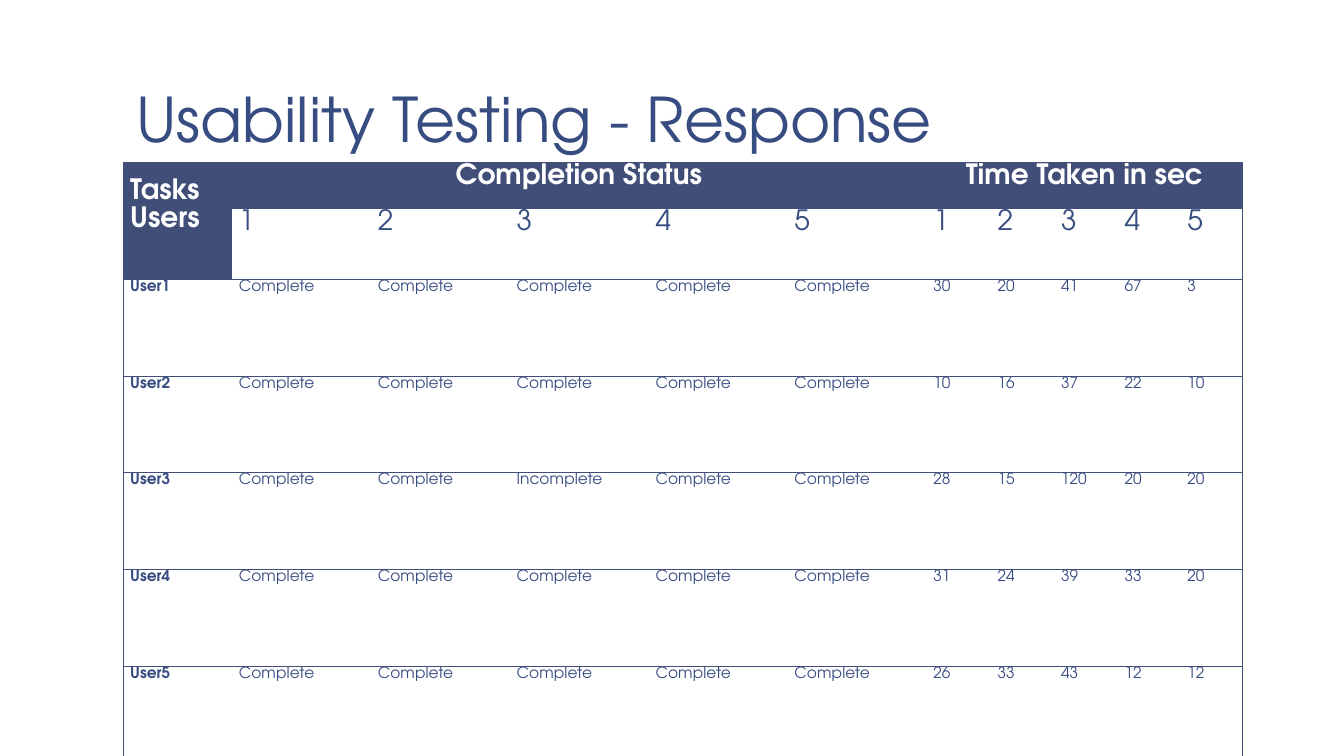
"""Build the usability testing response slide."""
from lxml import etree
from pptx import Presentation
from pptx.dml.color import RGBColor
from pptx.enum import text
from pptx.oxml import ns
from pptx.util import Cm, Pt

TITLE = "Usability Testing - Response"
CORNER = ["\u00a0", "Tasks Users"]
GROUPS = ["Completion Status", "Time Taken in sec"]
TASKS = ["1", "2", "3", "4", "5"]
DONE, FAILED = "Complete", "Incomplete"
RESULTS = [
    ("User1", [DONE] * 5, [30, 20, 41, 67, 3]),
    ("User2", [DONE] * 5, [10, 16, 37, 22, 10]),
    ("User3", [DONE, DONE, FAILED, DONE, DONE], [28, 15, 120, 20, 20]),
    ("User4", [DONE] * 5, [31, 24, 39, 33, 20]),
    ("User5", [DONE] * 5, [26, 33, 43, 12, 12]),
]

FONT = "TeX Gyre Adventor"
NAVY = RGBColor(0x41, 0x4E, 0x77)
BLUE = RGBColor(0x37, 0x4C, 0x81)
WHITE = RGBColor(0xFF, 0xFF, 0xFF)
LEFT, TOP, WIDTH = Cm(3.1), Cm(4.09), Cm(28.22)
COLUMN_WIDTHS = [2.74] + [3.5] * 5 + [1.62, 1.6, 1.6, 1.58, 1.58]
ROW_HEIGHTS = [1.17] * 2 + [2.44] * len(RESULTS)


def style(para, size, color, bold=False, align=text.PP_ALIGN.JUSTIFY):
    """Format one table paragraph."""
    para.alignment = align
    para.line_spacing = 1.06
    para.space_after = Pt(0.2)
    font = para.font
    font.name, font.size, font.bold = FONT, Pt(size), bold
    font.color.rgb = color


def set_borders(cell, sides):
    """Draw the named sides of a cell and clear the others."""
    properties = cell._tc.get_or_add_tcPr()
    for side in "LRTB":
        line = etree.SubElement(properties, ns.qn(f"a:ln{side}"), w=str(Pt(0.5)))
        if side in sides:
            fill = etree.SubElement(line, ns.qn("a:solidFill"))
            etree.SubElement(fill, ns.qn("a:srgbClr"), val=str(NAVY))
        else:
            etree.SubElement(line, ns.qn("a:noFill"))


def add_title(page):
    """Place and format the slide title."""
    title = page.shapes.title
    title.left, title.top, title.width, title.height = LEFT, Cm(0.2), WIDTH, Cm(3.89)
    frame = title.text_frame
    frame.text = TITLE
    frame.word_wrap = True
    frame.auto_size = text.MSO_AUTO_SIZE.NONE
    frame.vertical_anchor = text.MSO_ANCHOR.BOTTOM
    frame.margin_left = frame.margin_right = Cm(0.33)
    frame.margin_top = frame.margin_bottom = Cm(0.18)
    para = frame.paragraphs[0]
    para.alignment = text.PP_ALIGN.LEFT
    para.line_spacing = 0.85
    para.font.name, para.font.size = FONT, Pt(44)
    para.font.color.rgb = BLUE


def add_results(page):
    """Add the table of completion and timing results."""
    last = len(COLUMN_WIDTHS) - 1
    table = page.shapes.add_table(len(ROW_HEIGHTS), last + 1, LEFT, TOP, WIDTH,
                                  Cm(sum(ROW_HEIGHTS))).table
    table.first_row = table.horz_banding = False
    for column, width in zip(table.columns, COLUMN_WIDTHS):
        column.width = Cm(width)
    for row, height in zip(table.rows, ROW_HEIGHTS):
        row.height = Cm(height)

    for r in range(len(ROW_HEIGHTS)):
        for c in range(last + 1):
            cell = table.cell(r, c)
            cell.margin_left = cell.margin_right = Cm(0.18)
            cell.margin_top = cell.margin_bottom = 0
            set_borders(cell, "TB" + "L" * (c == 0) + "R" * (c == last))
            if r == 0 or (r == 1 and c == 0):
                cell.fill.solid()
                cell.fill.fore_color.rgb = NAVY
            else:
                cell.fill.background()

    corner = table.cell(0, 0)
    corner.merge(table.cell(1, 0))
    corner.text = "\n".join(CORNER)
    for para, size in zip(corner.text_frame.paragraphs, (11, 20)):
        style(para, size, WHITE, bold=True)
    for index, group in enumerate(GROUPS):
        first = 1 + index * len(TASKS)
        heading = table.cell(0, first)
        heading.merge(table.cell(0, first + len(TASKS) - 1))
        heading.text = group
        style(heading.text_frame.paragraphs[0], 20, WHITE, True, text.PP_ALIGN.CENTER)

    for c, task in enumerate(TASKS * len(GROUPS), start=1):
        cell = table.cell(1, c)
        cell.text = task
        style(cell.text_frame.paragraphs[0], 20, BLUE)
    for r, (user, statuses, seconds) in enumerate(RESULTS, start=2):
        for c, value in enumerate([user, *statuses, *seconds]):
            cell = table.cell(r, c)
            cell.text = str(value)
            style(cell.text_frame.paragraphs[0], 11, BLUE, bold=c == 0)


def main():
    """Create and save the deck."""
    deck = Presentation()
    deck.slide_width, deck.slide_height = Cm(33.87), Cm(19.05)
    page = deck.slides.add_slide(deck.slide_layouts[5])
    add_title(page)
    add_results(page)
    deck.save("out.pptx")


if __name__ == "__main__":
    main()
